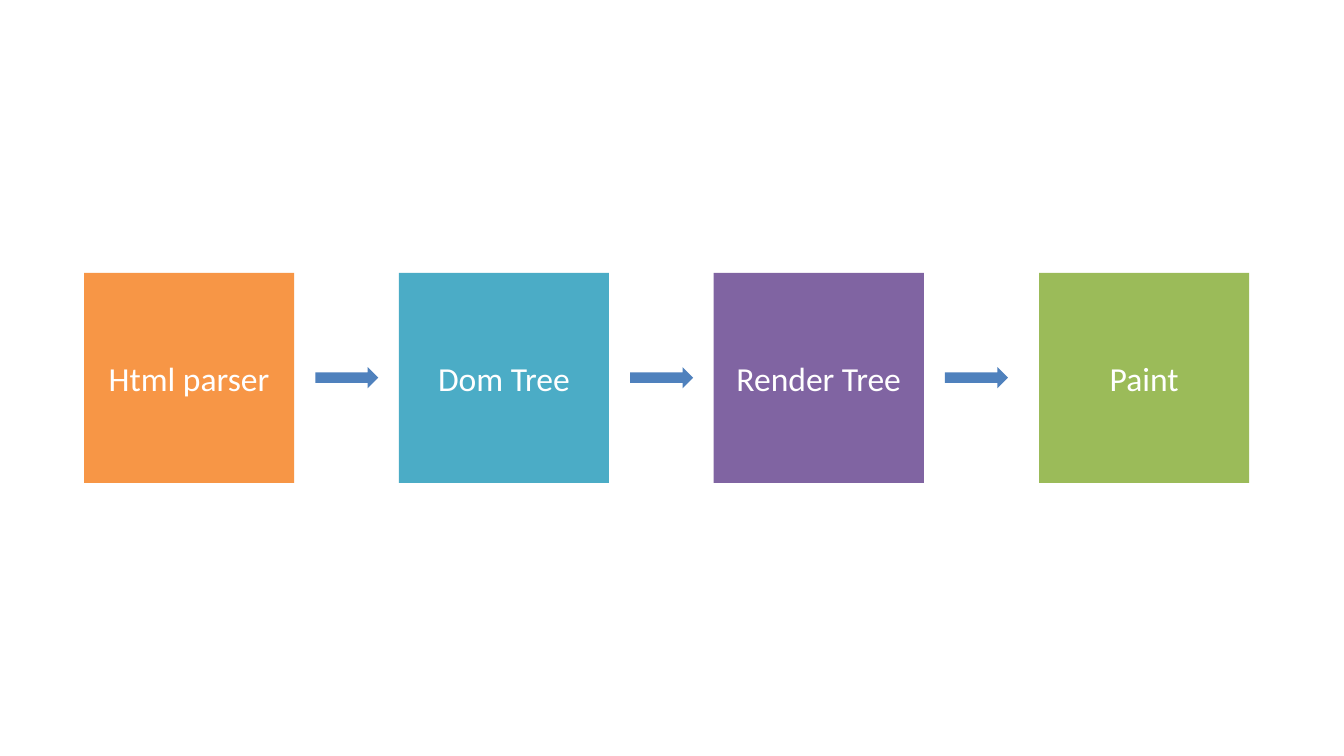
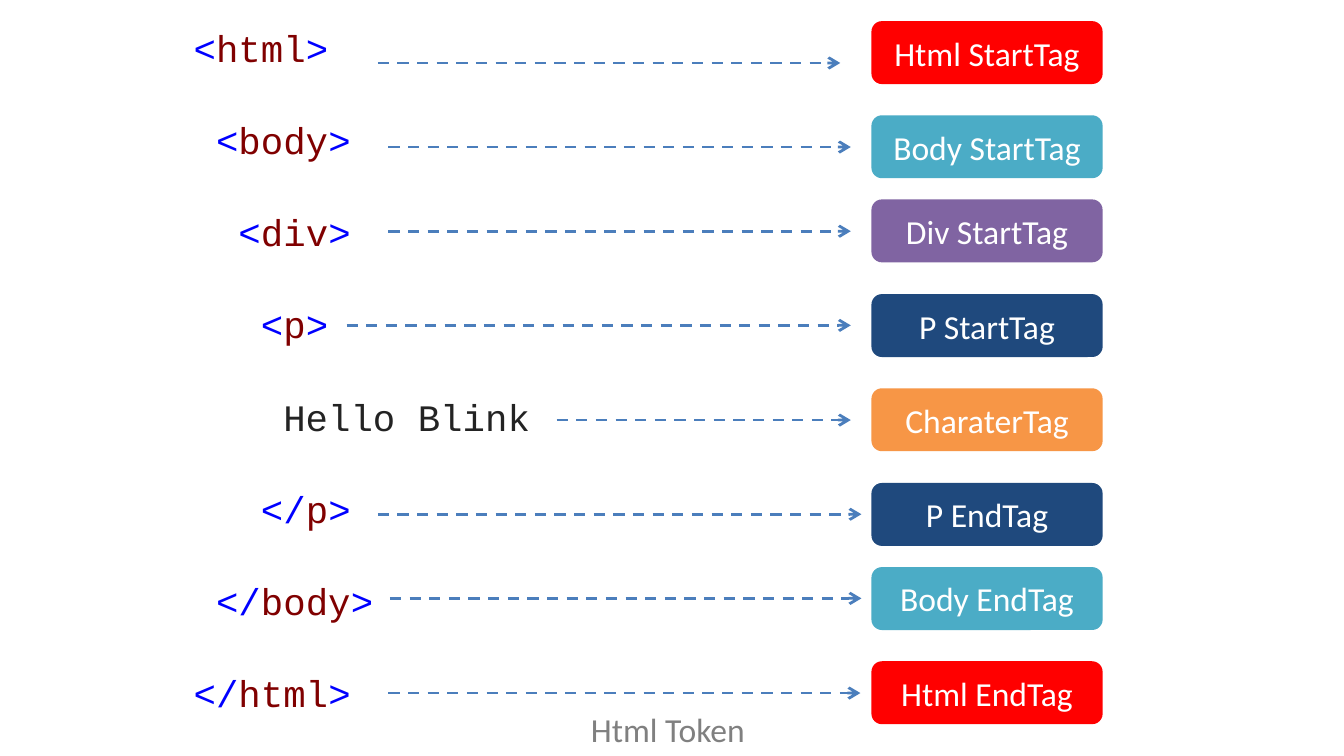
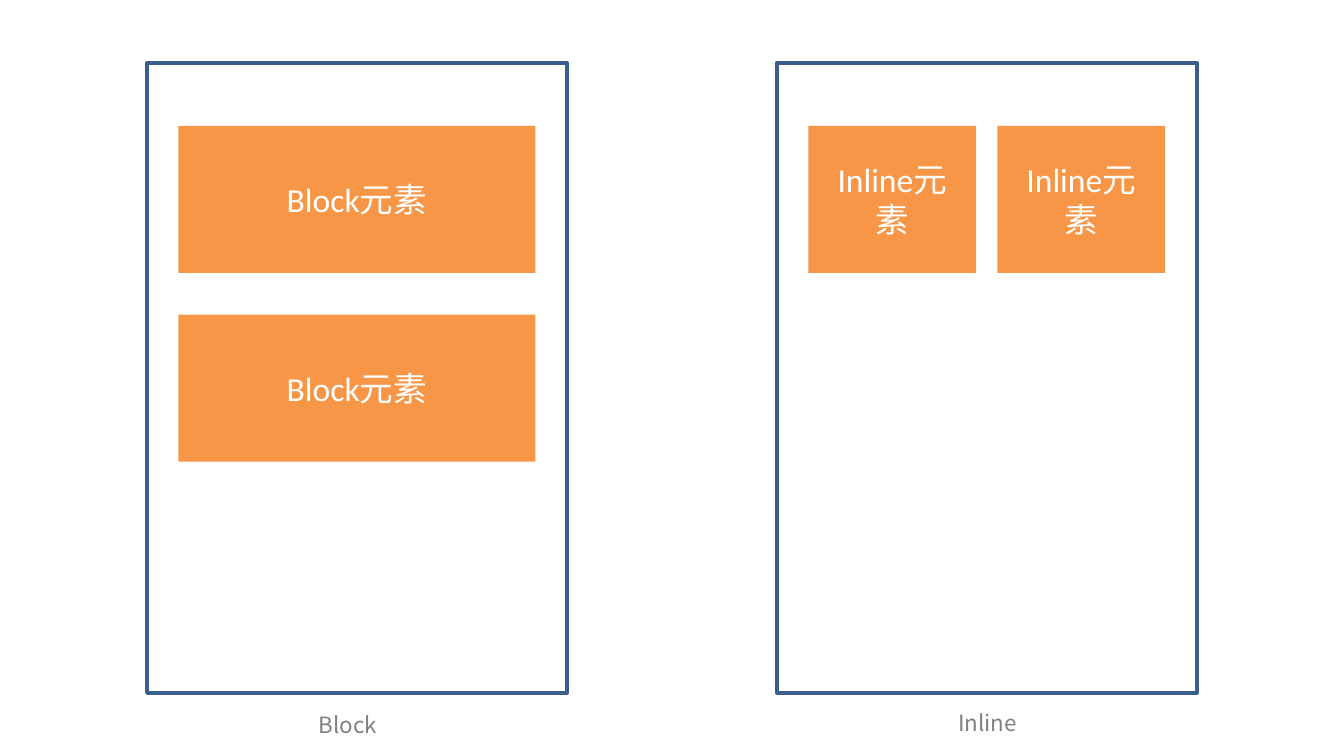
import lxml.etree
import pptx
import pptx.dml.color
import pptx.enum.dml
import pptx.enum.shapes
import pptx.enum.text
import pptx.oxml.ns
import pptx.util

Cm = pptx.util.Cm
Pt = pptx.util.Pt
RGBColor = pptx.dml.color.RGBColor
Shape = pptx.enum.shapes.MSO_SHAPE
Align = pptx.enum.text.PP_ALIGN
Anchor = pptx.enum.text.MSO_ANCHOR
qn = pptx.oxml.ns.qn

WHITE = RGBColor(0xFF, 0xFF, 0xFF)
GRAY = RGBColor(0x80, 0x80, 0x80)
ORANGE = RGBColor(0xF7, 0x96, 0x46)
TEAL = RGBColor(0x4B, 0xAC, 0xC6)
PURPLE = RGBColor(0x80, 0x64, 0xA2)
GREEN = RGBColor(0x9B, 0xBB, 0x59)
BLUE = RGBColor(0x4F, 0x81, 0xBD)
NAVY = RGBColor(0x1F, 0x49, 0x7D)
RED = RGBColor(0xFF, 0x00, 0x00)
DASH = RGBColor(0x4B, 0x7E, 0xBC)
FRAME = RGBColor(0x3A, 0x5F, 0x8C)
MARK = RGBColor(0x00, 0x00, 0xFF)
NAME = RGBColor(0x80, 0x00, 0x00)
INK = RGBColor(0x23, 0x23, 0x23)

SANS = "Calibri"
MONO = "Courier New"
HAN = "Noto Sans CJK SC"


def write(par, text, size=18, font=SANS, color=WHITE, align=None):
    """Add one formatted run to a paragraph."""
    if align is not None:
        par.alignment = align
    run = par.add_run()
    run.text = text
    run.font.size = Pt(size)
    run.font.color.rgb = color
    run.font.name = font
    east = lxml.etree.SubElement(run.font._element, qn("a:ea"))
    east.set("typeface", HAN)


class Deck:
    def __init__(self):
        self.show = pptx.Presentation()
        self.show.slide_width = Cm(25.4)
        self.show.slide_height = Cm(14.29)
        self.slide = None

    def page(self):
        self.slide = self.show.slides.add_slide(self.show.slide_layouts[6])

    def box(self, x, y, w, h, fill=None, text=None, kind=Shape.RECTANGLE,
            edge=None):
        shape = self.slide.shapes.add_shape(kind, Cm(x), Cm(y), Cm(w), Cm(h))
        shape.shadow.inherit = False
        if fill is None:
            shape.fill.background()
        else:
            shape.fill.solid()
            shape.fill.fore_color.rgb = fill
        if edge is None:
            shape.line.fill.background()
        else:
            shape.line.color.rgb = edge
            shape.line.width = Pt(2)
        if text:
            frame = shape.text_frame
            frame.word_wrap = True
            frame.vertical_anchor = Anchor.MIDDLE
            write(frame.paragraphs[0], text, align=Align.CENTER)

    def label(self, x, y, w, h, text, **style):
        frame = self.slide.shapes.add_textbox(
            Cm(x), Cm(y), Cm(w), Cm(h)).text_frame
        frame.word_wrap = True
        write(frame.paragraphs[0], text, color=GRAY, **style)

    def arrow(self, start, end, y):
        """Draw a level dashed arrow."""
        line = self.slide.shapes.add_connector(
            pptx.enum.shapes.MSO_CONNECTOR.STRAIGHT,
            Cm(start), Cm(y), Cm(end), Cm(y))
        line.line.color.rgb = DASH
        line.line.width = Pt(1.5)
        line.line.dash_style = pptx.enum.dml.MSO_LINE.DASH
        props = line._element.spPr
        tip = lxml.etree.SubElement(props.find(qn("a:ln")), qn("a:tailEnd"))
        tip.set("type", "arrow")
        lxml.etree.SubElement(props, qn("a:effectLst"))

    def code(self, x, y, w, h, rows):
        """Set rows of code, each a list of (text, colour) parts."""
        frame = self.slide.shapes.add_textbox(
            Cm(x), Cm(y), Cm(w), Cm(h)).text_frame
        frame.word_wrap = True
        frame.vertical_anchor = Anchor.MIDDLE
        frame.margin_left = Cm(0.89)
        frame.margin_right = frame.margin_top = frame.margin_bottom = 0
        for i, parts in enumerate(rows):
            par = frame.add_paragraph() if i else frame.paragraphs[0]
            if i:
                par.space_before = Pt(25.4)
            for text, color in parts:
                write(par, text, size=20, font=MONO, color=color)


def tag(depth, mark, name):
    return [(" " * depth + mark, MARK), (name, NAME), (">", MARK)]


def flow(deck):
    deck.page()
    side, top = 3.97, 5.16
    steps = [(1.59, ORANGE, "Html parser"), (7.54, TEAL, "Dom Tree"),
             (13.49, PURPLE, "Render Tree"), (19.64, GREEN, "Paint")]
    for x, fill, text in steps:
        deck.box(x, top, side, side, fill, text)
    for x, _, _ in steps[:-1]:
        deck.box(x + side + 0.4, 6.94, 1.19, 0.4, BLUE,
                 kind=Shape.RIGHT_ARROW)


def tokens(deck):
    deck.page()
    deck.code(2.77, 0.58, 10.52, 12.83, [
        tag(0, "<", "html"),
        tag(1, "<", "body"),
        tag(2, "<", "div"),
        tag(3, "<", "p"),
        [("    Hello Blink", INK)],
        tag(3, "</", "p"),
        tag(1, "</", "body"),
        tag(0, "</", "html"),
    ])
    rows = [  # box top, arrow height, arrow start, arrow end
        (0.4, 1.19, 7.14, 15.88, RED, "Html StartTag"),
        (2.18, 2.78, 7.34, 16.08, TEAL, "Body StartTag"),
        (3.77, 4.37, 7.34, 16.08, PURPLE, "Div StartTag"),
        (5.56, 6.15, 6.55, 16.08, NAVY, "P StartTag"),
        (7.34, 7.94, 10.52, 16.08, ORANGE, "CharaterTag"),
        (9.13, 9.72, 7.14, 16.28, NAVY, "P EndTag"),
        (10.72, 11.31, 7.37, 16.28, TEAL, "Body EndTag"),
        (12.5, 13.1, 7.34, 16.26, RED, "Html EndTag"),
    ]
    for top, y, start, end, fill, text in rows:
        deck.box(16.47, top, 4.37, 1.19, fill, text,
                 kind=Shape.ROUNDED_RECTANGLE)
        deck.arrow(start, end, y)
    deck.label(10.92, 13.28, 3.58, 1.02, "Html Token")


def layout(deck):
    deck.page()
    high, top = 2.78, 2.38
    for x in (2.78, 14.68):
        deck.box(x, 1.19, 7.94, 11.91, edge=FRAME)
    for x, y, text in ((5.77, 13.31, "Block"), (17.86, 13.28, "Inline")):
        deck.label(x, y, 1.78, 0.76, text, size=12, font=HAN)
    for i in range(2):
        deck.box(3.37, top + 3.57 * i, 6.75, high, ORANGE, "Block元素")
        deck.box(15.28 + 3.57 * i, top, 3.17, high, ORANGE, "Inline元素")


def main():
    deck = Deck()
    flow(deck)
    tokens(deck)
    layout(deck)
    deck.show.save("out.pptx")


if __name__ == "__main__":
    main()
